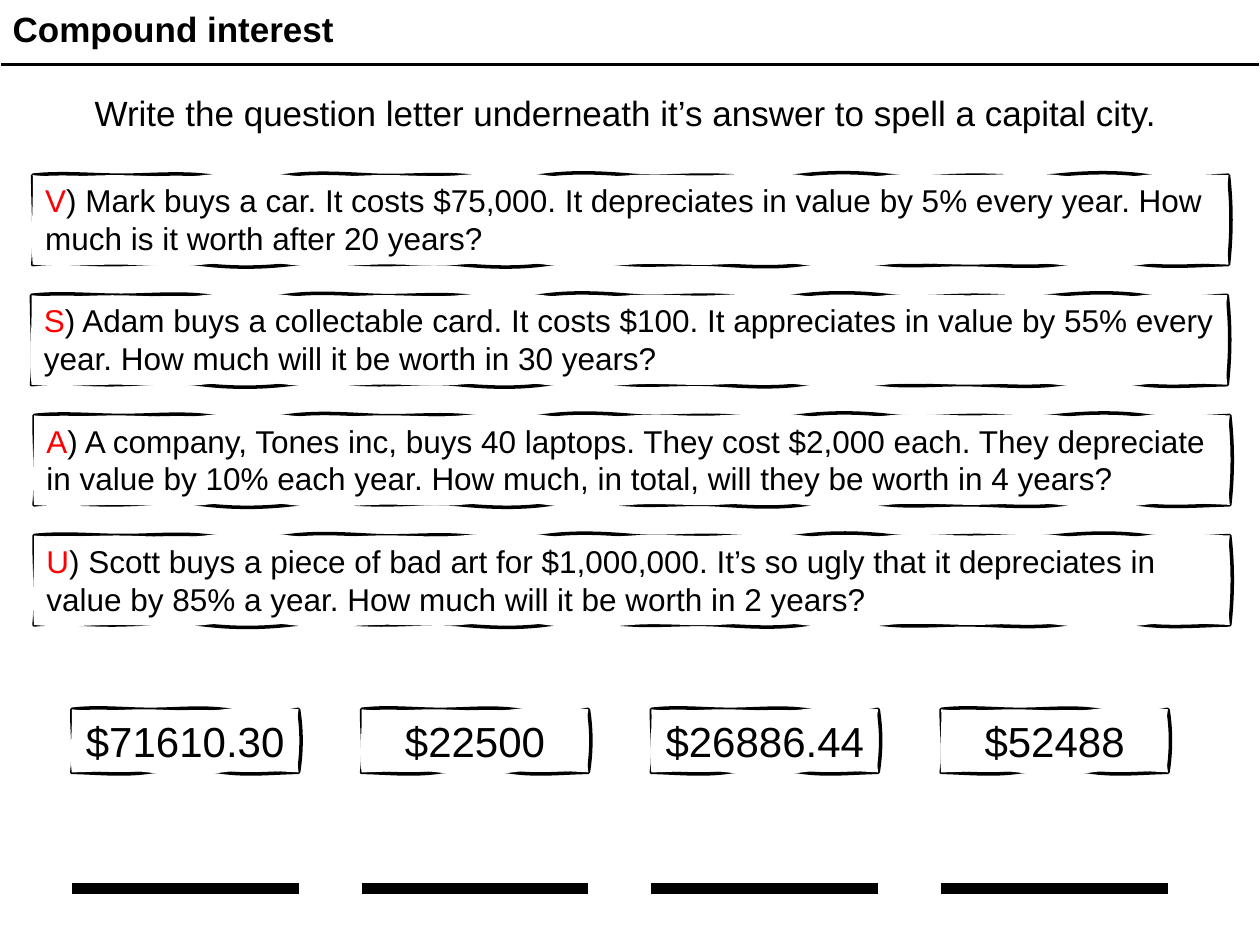
import math

import pptx
import pptx.dml.color
import pptx.enum.shapes
import pptx.enum.text
import pptx.oxml.ns
import pptx.util
from lxml import etree

Inches = pptx.util.Inches
Pt = pptx.util.Pt
Align = pptx.enum.text.PP_ALIGN
Anchor = pptx.enum.text.MSO_ANCHOR
qn = pptx.oxml.ns.qn

BLACK, WHITE, RED = "000000", "FFFFFF", "FF0000"
UNIT = 1000
STROKE = 0.7
SWAY = 0.03
TURN = 2.2
EDGE_PHASE, FILL_PHASE = 1, 4

TASKS = [
    (0.26, "V", ") Mark buys a car. It costs $75,000. It depreciates in value by 5% "
     "every year. How much is it worth after 20 years?"),
    (0.25, "S", ") Adam buys a collectable card. It costs $100. It appreciates in value "
     "by 55% every year. How much will it be worth in 30 years?"),
    (0.27, "A", ") A company, Tones inc, buys 40 laptops. They cost $2,000 each. They "
     "depreciate in value by 10% each year. How much, in total, will they be worth "
     "in 4 years?"),
    (0.27, "U", ") Scott buys a piece of bad art for $1,000,000. It’s so ugly that it "
     "depreciates in value by 85% a year. How much will it be worth in 2 years?"),
]
ANSWERS = ["$71610.30", "$22500", "$26886.44", "$52488"]


def rgb(code):
    return pptx.dml.color.RGBColor.from_string(code)


def style(run, size, color=BLACK, bold=False):
    run.font.name = "Arial"
    run.font.size = Pt(size)
    run.font.bold = bold
    run.font.color.rgb = rgb(color)


def write(frame, parts, size, align):
    frame.word_wrap = True
    frame.auto_size = pptx.enum.text.MSO_AUTO_SIZE.SHAPE_TO_FIT_TEXT
    frame.vertical_anchor = Anchor.TOP
    para = frame.paragraphs[0]
    para.alignment = align
    for text, color in parts:
        run = para.add_run()
        run.text = text
        style(run, size, color)


def add_point(parent, x, y):
    etree.SubElement(parent, qn("a:pt"), x=str(round(x * UNIT)), y=str(round(y * UNIT)))


def add_side(path, start, end, phase):
    length = math.dist(start, end)
    along = [(b - a) / length for a, b in zip(start, end)]
    count = max(1, round(length / STROKE))
    step = length / count
    for i in range(count):
        curve = etree.SubElement(path, qn("a:cubicBezTo"))
        before = -SWAY * math.sin(phase + TURN * i)
        after = SWAY * math.sin(phase + TURN * (i + 1))
        for part, sway in ((1 / 3, before), (2 / 3, after), (1, 0)):
            gone = (i + part) * step
            add_point(curve, start[0] + along[0] * gone - along[1] * sway,
                      start[1] + along[1] * gone + along[0] * sway)


def add_wavy(paths, wide, high, phase, **flags):
    path = etree.SubElement(paths, qn("a:path"), **flags)
    path.set("w", str(round(wide * UNIT)))
    path.set("h", str(round(high * UNIT)))
    corners = [(0, 0), (wide, 0), (wide, high), (0, high)]
    add_point(etree.SubElement(path, qn("a:moveTo")), *corners[0])
    for i, start in enumerate(corners):
        add_side(path, start, corners[(i + 1) % 4], phase + i)
    etree.SubElement(path, qn("a:close"))


def sketch(slide, left, top, wide, high):
    right, low = Inches(wide), Inches(high)
    pen = slide.shapes.build_freeform(0, 0)
    pen.add_line_segments([(right, 0), (right, low), (0, low)])
    box = pen.convert_to_shape(Inches(left), Inches(top))
    paths = box.element.spPr.find(".//" + qn("a:pathLst"))
    paths.remove(paths[0])
    add_wavy(paths, wide, high, EDGE_PHASE, fill="none")
    add_wavy(paths, wide, high, FILL_PHASE, stroke="0")
    box.shadow.inherit = False
    box.fill.solid()
    box.fill.fore_color.rgb = rgb(WHITE)
    box.line.color.rgb = rgb(BLACK)
    box.line.width = Pt(2)
    return box


def border(cell, side, color, width):
    line = etree.SubElement(cell._tc.get_or_add_tcPr(), qn("a:ln" + side))
    line.set("w", str(Pt(width)))
    fill = etree.SubElement(line, qn("a:solidFill"))
    etree.SubElement(fill, qn("a:srgbClr"), val=color)


def header(slide, left, top, wide, high):
    table = slide.shapes.add_table(
        1, 1, Inches(left), Inches(top), Inches(wide), Inches(high)).table
    table.first_row = table.horz_banding = False
    cell = table.cell(0, 0)
    cell.text_frame.text = "Compound interest"
    cell.vertical_anchor = Anchor.MIDDLE
    style(cell.text_frame.paragraphs[0].runs[0], 20, bold=True)
    for side, color, width in (("L", WHITE, 1), ("R", WHITE, 1), ("B", BLACK, 2.25)):
        border(cell, side, color, width)
    cell.fill.background()


def prompt(slide, left, top, wide, high):
    box = slide.shapes.add_textbox(Inches(left), Inches(top), Inches(wide), Inches(high))
    text = "Write the question letter underneath it’s answer to spell a capital city. "
    write(box.text_frame, [(text, BLACK)], 20, Align.CENTER)


def tasks(slide, top, last, wide, high):
    step = (last - top) / (len(TASKS) - 1)
    for i, (left, mark, text) in enumerate(TASKS):
        box = sketch(slide, left, top + i * step, wide, high)
        write(box.text_frame, [(mark, RED), (text, BLACK)], 18, Align.LEFT)


def blank(slide, left, top, wide):
    rule = slide.shapes.add_connector(
        pptx.enum.shapes.MSO_CONNECTOR.STRAIGHT,
        Inches(left), Inches(top), Inches(left + wide), Inches(top))
    rule.line.color.rgb = rgb(BLACK)
    rule.line.width = Pt(6)
    etree.SubElement(rule.element.spPr, qn("a:effectLst"))


def answers(slide, left, top, wide, high, gap, drop):
    for i, text in enumerate(ANSWERS):
        x = left + i * (wide + gap)
        box = sketch(slide, x, top, wide, high)
        write(box.text_frame, [(text, BLACK)], 24, Align.CENTER)
        blank(slide, x, top + drop, wide)


def main():
    deck = pptx.Presentation()
    deck.slide_width, deck.slide_height = Inches(10), Inches(7.5)
    slide = deck.slides.add_slide(deck.slide_layouts[6])
    header(slide, 0, -0.03, 10, 0.54)
    prompt(slide, 0.26, 0.68, 9.49, 0.44)
    tasks(slide, 1.39, 4.25, 9.49, 0.71)
    answers(slide, 0.57, 5.63, 1.8, 0.5, gap=0.5, drop=1.42)
    deck.save("out.pptx")


if __name__ == "__main__":
    main()
